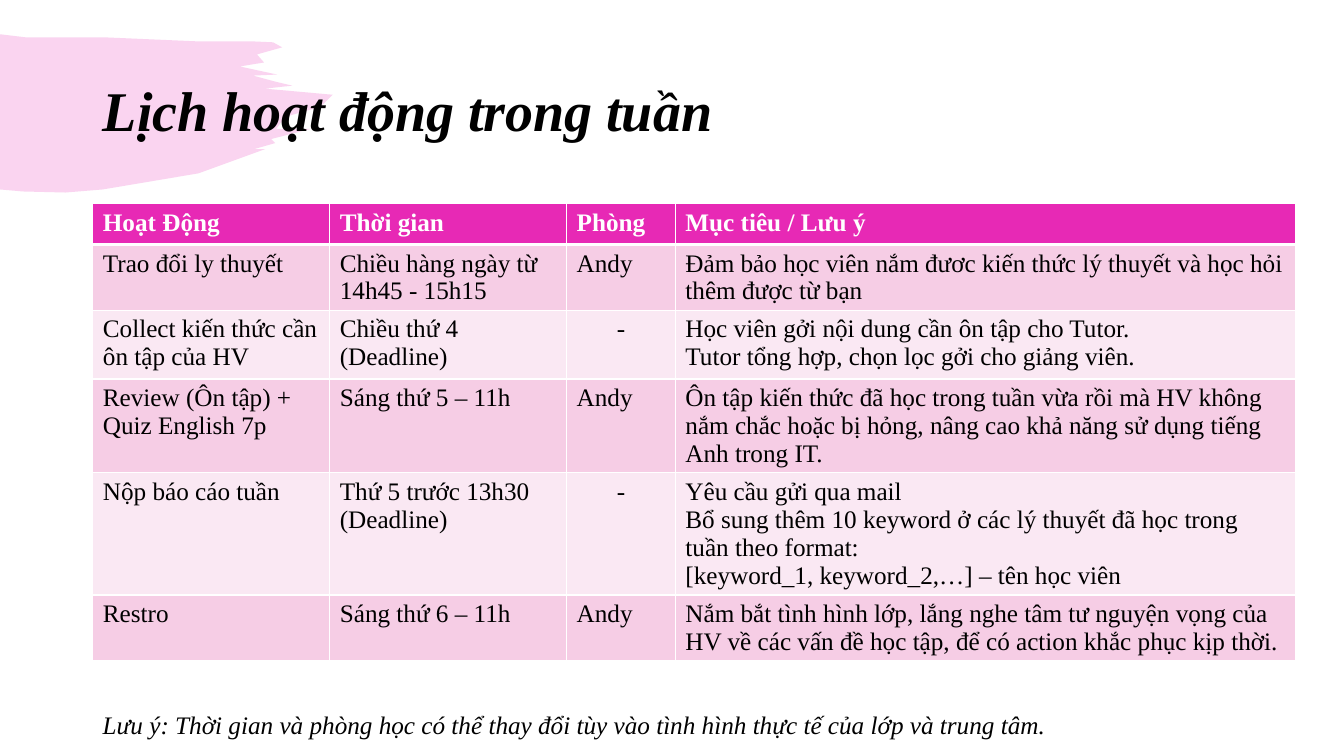
from dataclasses import dataclass

from lxml.etree import SubElement
from pptx import Presentation
from pptx.dml.color import RGBColor
from pptx.enum.text import MSO_ANCHOR, MSO_AUTO_SIZE, PP_ALIGN
from pptx.oxml.ns import qn
from pptx.slide import Slide
from pptx.table import _Cell
from pptx.text.text import TextFrame
from pptx.util import Cm, Pt

COLORS = {
    "accent": "E729B5",
    "band_dark": "F6CDE5",
    "band_light": "FAE8F3",
    "text": "000000",
    "white": "FFFFFF",
}
FONT = "Times New Roman"
BRUSH_UNIT = Cm(2.54) / 100
BRUSH_EDGE = [
    (0, 34), (25, 37), (102, 37), (194, 41), (248, 41), (271, 42), (280, 47),
    (255, 54), (262, 62), (238, 66), (275, 74), (251, 75), (273, 81), (290, 85),
    (263, 88), (330, 94), (318, 106), (283, 116), (274, 128), (308, 128),
    (269, 138), (273, 142), (252, 148), (263, 148), (197, 172), (102, 188),
    (65, 191), (23, 190), (0, 188),
]


@dataclass(frozen=True)
class Activity:
    name: str
    time: str
    room: str
    goal: str
    height: float


HEADER = Activity("Hoạt Động", "Thời gian", "Phòng", "Mục tiêu / Lưu ý", 1.03)
ACTIVITIES = [
    Activity("Trao đổi ly thuyết", "Chiều hàng ngày từ 14h45 - 15h15", "Andy",
             "Đảm bảo học viên nắm đươc kiến thức lý thuyết và học hỏi thêm được từ bạn", 1.63),
    Activity("Collect kiến thức cần ôn tập của HV", "Chiều thứ 4 (Deadline)", "-",
             "Học viên gởi nội dung cần ôn tập cho Tutor.\n"
             "Tutor tổng hợp, chọn lọc gởi cho giảng viên.", 1.73),
    Activity("Review (Ôn tập) + Quiz English 7p", "Sáng thứ 5 – 11h", "Andy",
             "Ôn tập kiến thức đã học trong tuần vừa rồi mà HV không nắm chắc hoặc bị hỏng, "
             "nâng cao khả năng sử dụng tiếng Anh trong IT.", 2.36),
    Activity("Nộp báo cáo tuần", "Thứ 5 trước 13h30\n(Deadline)", "-",
             "Yêu cầu gửi qua mail\n"
             "Bổ sung thêm 10 keyword ở các lý thuyết đã học trong tuần theo format:\v"
             "[keyword_1, keyword_2,…] – tên học viên", 3.08),
    Activity("Restro", "Sáng thứ 6 – 11h", "Andy",
             "Nắm bắt tình hình lớp, lắng nghe tâm tư nguyện vọng của HV về các vấn đề học tập, "
             "để có action khắc phục kịp thời.", 1.63),
]
COLUMN_WIDTHS = [5.97, 5.97, 2.74, 15.62]


def rgb(name: str) -> RGBColor:
    return RGBColor.from_string(COLORS[name])


def write(frame: TextFrame, text: str, size: int, color: str = "text",
          bold: bool = False, italic: bool = False,
          alignment: PP_ALIGN = PP_ALIGN.LEFT) -> None:
    frame.text = text
    for paragraph in frame.paragraphs:
        paragraph.alignment = alignment
        font = paragraph.font
        font.name, font.size = FONT, Pt(size)
        font.bold, font.italic = bold, italic
        font.color.rgb = rgb(color)


def draw_brush(slide: Slide) -> None:
    outline = slide.shapes.build_freeform(*BRUSH_EDGE[0], scale=BRUSH_UNIT)
    outline.add_line_segments(BRUSH_EDGE[1:], close=True)
    brush = outline.convert_to_shape()
    brush.shadow.inherit = False
    brush.line.fill.background()
    brush.fill.solid()
    brush.fill.fore_color.rgb = rgb("accent")
    tint = brush.element.spPr.find(f"{qn('a:solidFill')}/{qn('a:srgbClr')}")
    SubElement(tint, qn("a:alpha"), val="20000")
    slide.shapes.title.element.addprevious(brush.element)


def draw_title(slide: Slide) -> None:
    title = slide.shapes.title
    title.left, title.top, title.width, title.height = Cm(2.34), Cm(1.01), Cm(29.21), Cm(3.68)
    frame = title.text_frame
    frame.auto_size = MSO_AUTO_SIZE.NONE
    frame.vertical_anchor = MSO_ANCHOR.MIDDLE
    write(frame, "Lịch hoạt động trong tuần", 40, bold=True, italic=True)
    frame.paragraphs[0].line_spacing = 0.9


def set_borders(cell: _Cell, top: int, bottom: int) -> None:
    properties = cell._tc.get_or_add_tcPr()
    for side, width in {"L": 1, "R": 1, "T": top, "B": bottom}.items():
        border = SubElement(properties, qn(f"a:ln{side}"), w=str(Pt(width)))
        fill = SubElement(border, qn("a:solidFill"))
        SubElement(fill, qn("a:srgbClr"), val=COLORS["white"])


def draw_schedule(slide: Slide) -> None:
    rows = [HEADER, *ACTIVITIES]
    schedule = slide.shapes.add_table(
        len(rows), len(COLUMN_WIDTHS), Cm(2.34), Cm(5.13),
        Cm(sum(COLUMN_WIDTHS)), Cm(sum(row.height for row in rows))).table
    for column, width in zip(schedule.columns, COLUMN_WIDTHS):
        column.width = Cm(width)
    for index, activity in enumerate(rows):
        schedule.rows[index].height = Cm(activity.height)
        is_header = index == 0
        band = "accent" if is_header else "band_dark" if index % 2 else "band_light"
        texts = (activity.name, activity.time, activity.room, activity.goal)
        for cell, text in zip(schedule.rows[index].cells, texts):
            set_borders(cell, 3 if index == 1 else 1, 3 if is_header else 1)
            cell.fill.solid()
            cell.fill.fore_color.rgb = rgb(band)
            write(cell.text_frame, text, 18, "white" if is_header else "text", bold=is_header,
                  alignment=PP_ALIGN.CENTER if text == "-" else PP_ALIGN.LEFT)


def draw_note(slide: Slide) -> None:
    note = slide.shapes.add_textbox(Cm(2.34), Cm(17.75), Cm(28.8), Cm(1.03)).text_frame
    note.word_wrap = True
    note.auto_size = MSO_AUTO_SIZE.SHAPE_TO_FIT_TEXT
    write(note, "Lưu ý: Thời gian và phòng học có thể thay đổi tùy vào tình hình thực tế "
                "của lớp và trung tâm.", 18, italic=True)


def main() -> None:
    presentation = Presentation()
    presentation.slide_width, presentation.slide_height = Cm(33.87), Cm(19.05)
    slide = presentation.slides.add_slide(presentation.slide_layouts[5])
    draw_brush(slide)
    draw_title(slide)
    draw_schedule(slide)
    draw_note(slide)
    presentation.save("out.pptx")


if __name__ == "__main__":
    main()
